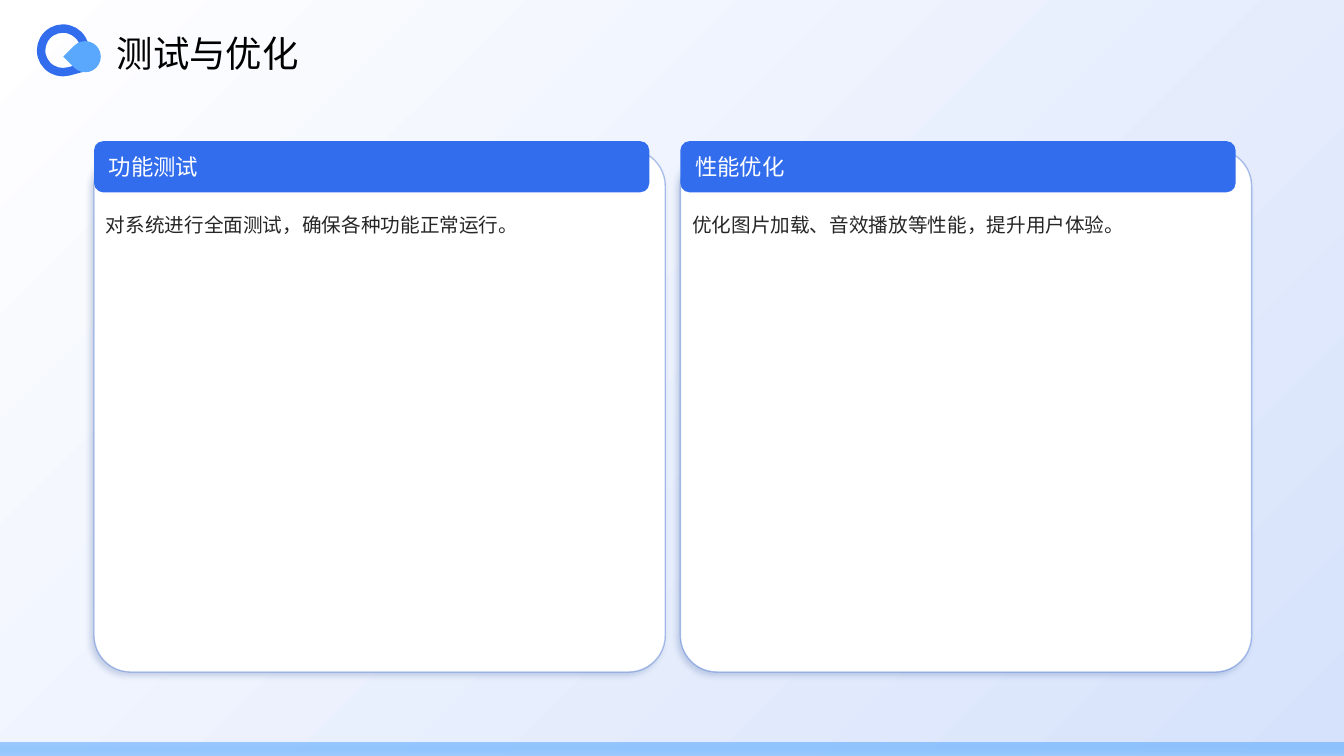
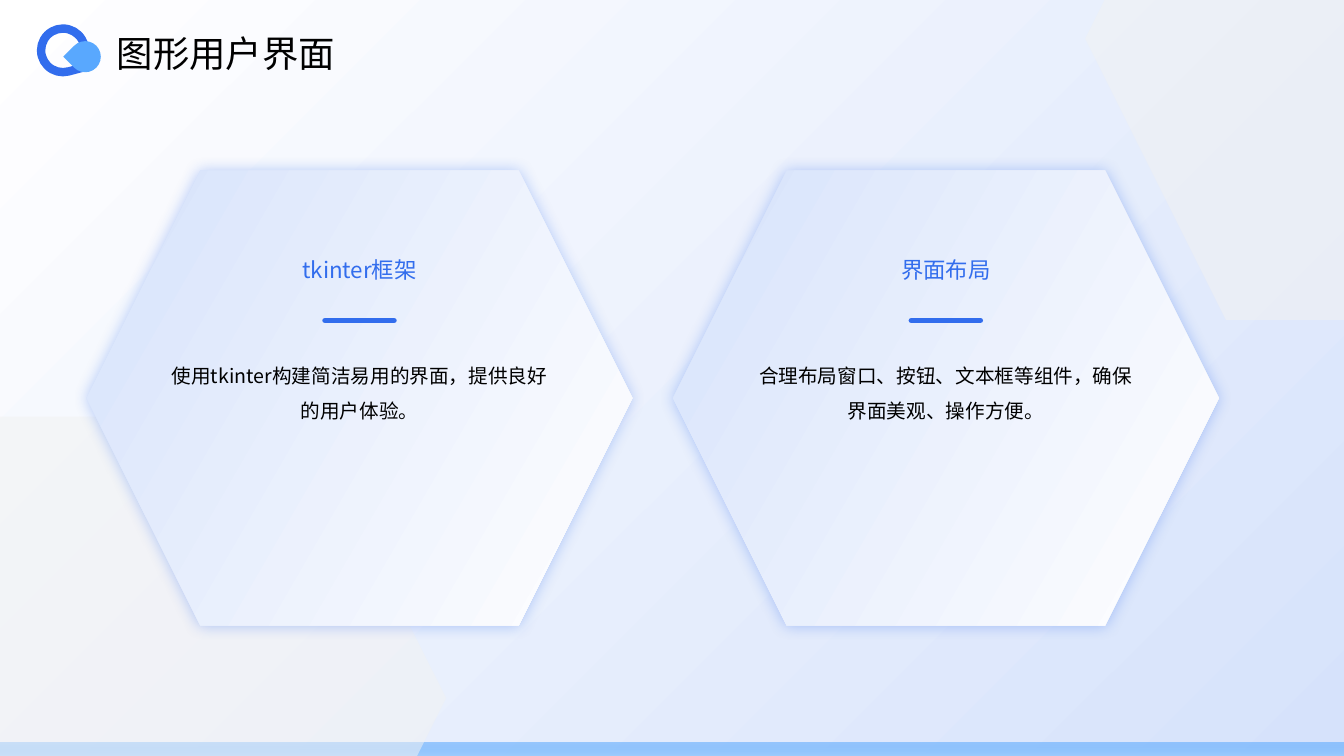
from dataclasses import dataclass

from lxml.etree import SubElement
from pptx import Presentation
from pptx.dml.color import RGBColor as RGB
from pptx.enum.shapes import MSO_CONNECTOR as LineKind, MSO_SHAPE as Preset
from pptx.enum.text import MSO_ANCHOR as Anchor, MSO_AUTO_SIZE as AutoSize, PP_ALIGN as Align
from pptx.oxml.ns import qn
from pptx.util import Inches, Pt

COLUMNS, ROWS = 160, 90  # square cells on a 16:9 slide
PITCH = 69.8  # from one panel to the next
TITLE_ONLY = 5


@dataclass(frozen=True)
class Theme:
    font: str = "Noto Sans CJK SC"
    blue: str = "326DED"
    sky: str = "59A8FE"
    pale_sky: str = "9BCBFE"
    ice: str = "D6E2FB"
    mist: str = "F2F2F2"
    border: str = "114AC6"
    shade: str = "0C3284"
    white: str = "FFFFFF"
    black: str = "000000"
    ink: str = "262626"
    title_size: int = 26
    heading_size: int = 16
    body_size: int = 14


def set_alpha(parent, percent):
    """Make the last colour below an XML element translucent."""
    colour = list(parent.iter(qn("a:srgbClr")))[-1]
    SubElement(colour, qn("a:alpha"), val=str(percent * 1000))


def set_gradient(fill, start, end, clockwise):
    fill.gradient()
    fill.gradient_angle = (360 - clockwise) % 360
    for stop, colour in zip(fill.gradient_stops, (start, end)):
        stop.color.rgb = RGB.from_string(colour)


class Deck:
    """Holds the theme and the slide being filled; lengths are grid cells."""

    def __init__(self, theme):
        self.theme = theme
        self.prs = Presentation()
        self.prs.slide_width, self.prs.slide_height = Inches(13.33), Inches(7.5)
        self.cell_width = self.prs.slide_width / COLUMNS
        self.cell_height = self.prs.slide_height / ROWS
        set_gradient(self.prs.slide_master.background.fill, theme.white, theme.ice, 45)
        self.slide = None

    def place(self, left, top, width, height):
        return (round(left * self.cell_width), round(top * self.cell_height),
                round(width * self.cell_width), round(height * self.cell_height))

    def new_slide(self, title):
        theme = self.theme
        self.slide = self.prs.slides.add_slide(self.prs.slide_layouts[TITLE_ONLY])
        band = self.shape(Preset.RECTANGLE, (0, 88.4, COLUMNS, 1.6))
        set_gradient(band.fill, theme.pale_sky, theme.sky, 270)
        set_alpha(band._element.spPr, 53)
        self.emblem()
        heading = self.slide.shapes.title
        heading.left, heading.top, heading.width, heading.height = self.place(12.7, 3, 140, 6.5)
        self.set_words(heading.text_frame, title, theme.title_size, theme.black,
                       anchor=Anchor.MIDDLE)

    def emblem(self):
        ring = self.shape(Preset.TEAR, (4.9, 3.4, 5.2, 5.2))
        ring.rotation = 75
        ring.line.color.rgb = RGB.from_string(self.theme.blue)
        ring.line.width = Pt(6)
        drop = self.shape(Preset.TEAR, (8.3, 4.9, 3.7, 3.7), self.theme.sky)
        drop.rotation = 225

    def shape(self, preset, box, colour=None, corner=None):
        shape = self.slide.shapes.add_shape(preset, *self.place(*box))
        shape.shadow.inherit = False
        shape.line.fill.background()
        if colour:
            shape.fill.solid()
            shape.fill.fore_color.rgb = RGB.from_string(colour)
        else:
            shape.fill.background()
        if corner is not None:
            shape.adjustments[0] = corner
        return shape

    def cast_shadow(self, shape, colour, alpha, blur, distance=0, angle=0):
        effects = shape._element.spPr.find(qn("a:effectLst"))
        shadow = SubElement(effects, qn("a:outerShdw"), blurRad=str(Pt(blur)),
                            dist=str(Pt(distance)), dir=str(angle * 60000),
                            algn="ctr", rotWithShape="0")
        SubElement(shadow, qn("a:srgbClr"), val=colour)
        set_alpha(shadow, alpha)

    def set_words(self, frame, words, size, colour, align=Align.LEFT, anchor=Anchor.TOP,
                  spacing=None):
        frame.text = words
        frame.word_wrap = True
        frame.auto_size = AutoSize.NONE
        frame.vertical_anchor = anchor
        paragraph = frame.paragraphs[0]
        paragraph.alignment = align
        paragraph.line_spacing = spacing
        run = paragraph.runs[0]
        run.font.size = Pt(size)
        run.font.color.rgb = RGB.from_string(colour)
        run.font.name = self.theme.font
        SubElement(run._r.get_or_add_rPr(), qn("a:ea"), typeface=self.theme.font)

    def text(self, box, words, size, colour, **layout):
        frame = self.slide.shapes.add_textbox(*self.place(*box)).text_frame
        frame.margin_left = frame.margin_right = frame.margin_top = frame.margin_bottom = 0
        self.set_words(frame, words, size, colour, **layout)

    def rule(self, centre, top, width):
        left, y, span, _ = self.place(centre - width / 2, top, width, 0)
        rule = self.slide.shapes.add_connector(LineKind.STRAIGHT, left, y, left + span, y)
        rule.line.color.rgb = RGB.from_string(self.theme.blue)
        rule.line.width = Pt(4)
        properties = rule._element.spPr
        properties.find(qn("a:ln")).set("cap", "rnd")
        SubElement(properties, qn("a:effectLst"))

    def card(self, left, heading, body):
        theme = self.theme
        panel = self.shape(Preset.ROUNDED_RECTANGLE, (left, 17.8, 68, 62.2), theme.white, 0.07)
        panel.line.color.rgb = RGB.from_string(theme.border)
        panel.line.width = Pt(0.95)
        set_alpha(panel._element.spPr.find(qn("a:ln")), 33)
        self.cast_shadow(panel, theme.shade, 20, 4, 3, 135)
        header = self.shape(Preset.ROUNDED_RECTANGLE, (left, 16.8, 66.1, 6.1), theme.blue, 0.18)
        header.text_frame.margin_left = Inches(0.12)
        self.set_words(header.text_frame, heading, theme.heading_size, theme.white,
                       anchor=Anchor.MIDDLE)
        self.text((left + 1.4, 23.9, 64.7, 52.1), body, theme.body_size, theme.ink, spacing=1.5)

    def backdrop_hexagon(self, left, top):
        hexagon = self.shape(Preset.HEXAGON, (left, top, 91.6, 67), self.theme.mist)
        set_alpha(hexagon._element.spPr, 53)

    def hexagon_card(self, left, heading, body):
        theme, width, inset = self.theme, 65, 9.5
        panel = self.shape(Preset.HEXAGON, (left, 20.3, width, 54.2))
        set_gradient(panel.fill, theme.ice, theme.white, 30)
        self.cast_shadow(panel, theme.blue, 35, 11)
        column, column_width = left + inset, width - 2 * inset
        self.text((column, 25.2, column_width, 12.8), heading, theme.heading_size, theme.blue,
                  align=Align.CENTER, anchor=Anchor.MIDDLE, spacing=1.3)
        self.rule(left + width / 2, 38.15, 8.2)
        self.text((column, 41.9, column_width, 26.4), body, theme.body_size, theme.black,
                  align=Align.CENTER, spacing=1.5)


def main():
    deck = Deck(Theme())

    deck.new_slide("测试与优化")
    testing = [
        ("功能测试", "对系统进行全面测试，确保各种功能正常运行。"),
        ("性能优化", "优化图片加载、音效播放等性能，提升用户体验。"),
    ]
    for index, (heading, body) in enumerate(testing):
        deck.card(11.2 + index * PITCH, heading, body)

    deck.new_slide("图形用户界面")
    deck.backdrop_hexagon(-38.5, 49.6)
    deck.backdrop_hexagon(129.2, -28.9)
    interface = [
        ("tkinter框架", "使用tkinter构建简洁易用的界面，提供良好的用户体验。"),
        ("界面布局", "合理布局窗口、按钮、文本框等组件，确保界面美观、操作方便。"),
    ]
    for index, (heading, body) in enumerate(interface):
        deck.hexagon_card(10.3 + index * PITCH, heading, body)

    deck.prs.save("out.pptx")


if __name__ == "__main__":
    main()
